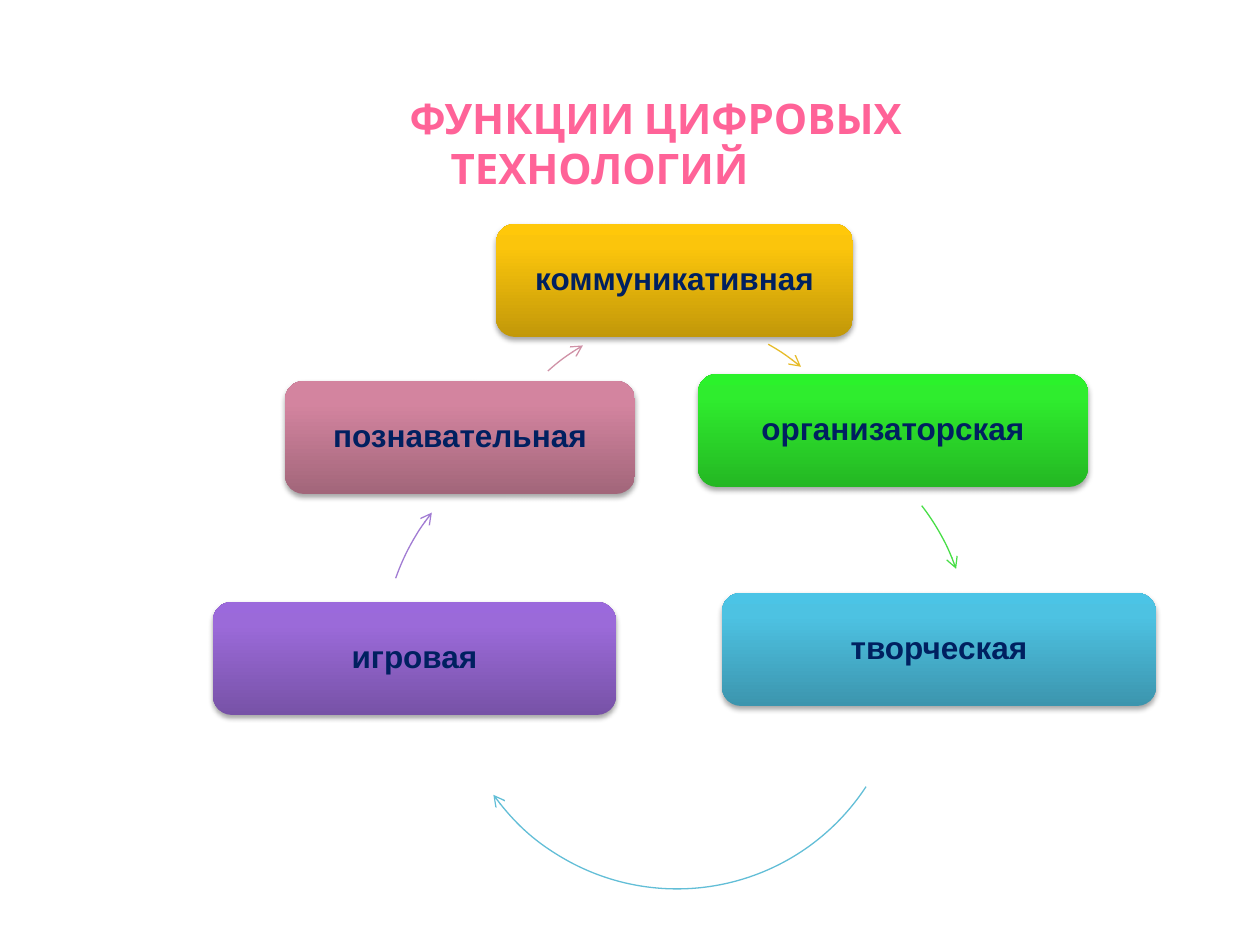
import copy

import pptx
import pptx.dml.color
import pptx.enum.shapes
import pptx.enum.text
import pptx.oxml
import pptx.oxml.ns
import pptx.util

SCALE = 914400 // 126
SLIDE_SIZE = (1260, 945)
TITLE = "ФУНКЦИИ ЦИФРОВЫХ ТЕХНОЛОГИЙ"
TITLE_AREA = (282, 86, 635, 115)
TITLE_INDENT = 112
BOX_HEIGHT = 113
BOX_INSET = 14
ARC_SIZE = 452
STOP_POSITIONS = (0, 0.8, 1)

COLORS = {
    "title": "FF6398",
    "text": "002060",
    "yellow": ("C29809", "FBC50C", "FFC80A", "E7BC29"),
    "green": ("24B723", "2FED2E", "2BF22B", "47DE46"),
    "blue": ("3C95AE", "4DC2E2", "4BC4E6", "62BED7"),
    "purple": ("7752A7", "9B6AD9", "9B69DC", "A17BD3"),
    "pink": ("A2667A", "D3849F", "D5849F", "D092A7"),
}

# label, color, box left/top/width, arc left/top, arc start/end degrees
FUNCTIONS = [
    ("коммуникативная", "yellow", (496, 224, 357), (431, 315), (299.5, 309.6)),
    ("организаторская", "green", (698, 374, 390), (517, 418), (322.3, 340.6)),
    ("творческая", "blue", (722, 593, 434), (451, 437), (33.2, 144.3)),
    ("игровая", "purple", (213, 602, 403), (383, 427), (199.3, 218.4)),
    ("познавательная", "pink", (285, 381, 350), (472, 314), (228.4, 239.4)),
]

SHADOW = (
    '<a:outerShdw %s blurRad="39370" dist="22860" dir="5400000" rotWithShape="0">'
    '<a:srgbClr val="000000"><a:alpha val="35000"/></a:srgbClr></a:outerShdw>'
    % pptx.oxml.ns.nsdecls("a")
)
ARROWHEAD = '<a:tailEnd %s type="arrow"/>' % pptx.oxml.ns.nsdecls("a")


def px(value):
    return pptx.util.Emu(value * SCALE)


def rgb(value):
    return pptx.dml.color.RGBColor.from_string(value)


def style_text(paragraph, size, font_name, color):
    paragraph.alignment = pptx.enum.text.PP_ALIGN.CENTER
    paragraph.font.size = pptx.util.Pt(size)
    paragraph.font.name = font_name
    paragraph.font.bold = True
    paragraph.font.color.rgb = rgb(color)


def add_title(slide):
    title = slide.shapes.title
    title.left, title.top, title.width, title.height = map(px, TITLE_AREA)
    frame = title.text_frame
    frame.text = TITLE
    frame.word_wrap = True
    frame.auto_size = pptx.enum.text.MSO_AUTO_SIZE.NONE
    frame.vertical_anchor = pptx.enum.text.MSO_ANCHOR.TOP
    paragraph = frame.paragraphs[0]
    style_text(paragraph, 24, "Cabin", COLORS["title"])
    properties = paragraph._p.get_or_add_pPr()
    properties.set("marL", "0")
    properties.set("indent", str(px(TITLE_INDENT)))


def add_box(slide, label, stop_colors, left, top, width):
    box = slide.shapes.add_shape(
        pptx.enum.shapes.MSO_SHAPE.ROUNDED_RECTANGLE,
        px(left), px(top), px(width), px(BOX_HEIGHT),
    )
    box.fill.gradient()
    box.fill.gradient_angle = 90
    stop_list = box._element.spPr.find(".//" + pptx.oxml.ns.qn("a:gsLst"))
    stop_list.insert(1, copy.deepcopy(stop_list[0]))
    for stop, position, color in zip(box.fill.gradient_stops, STOP_POSITIONS, stop_colors):
        stop.position = position
        stop.color.rgb = rgb(color)
    box.line.fill.background()
    box.shadow.inherit = False
    effects = box._element.spPr.find(pptx.oxml.ns.qn("a:effectLst"))
    effects.append(pptx.oxml.parse_xml(SHADOW))

    frame = box.text_frame
    frame.text = label
    frame.word_wrap = True
    frame.vertical_anchor = pptx.enum.text.MSO_ANCHOR.MIDDLE
    frame.margin_left = frame.margin_right = px(BOX_INSET)
    frame.margin_top = frame.margin_bottom = px(BOX_INSET)
    paragraph = frame.paragraphs[0]
    paragraph.line_spacing = 0.9
    style_text(paragraph, 18, "Arial", COLORS["text"])


def add_arc(slide, color, left, top, angles):
    arc = slide.shapes.add_shape(
        pptx.enum.shapes.MSO_SHAPE.ARC,
        px(left), px(top), px(ARC_SIZE), px(ARC_SIZE),
    )
    for index, angle in enumerate(angles):
        arc.adjustments[index] = angle * 0.6
    arc.fill.background()
    arc.line.color.rgb = rgb(color)
    arc.line.width = pptx.util.Pt(0.75)
    arc.shadow.inherit = False
    arc.line._get_or_add_ln().append(pptx.oxml.parse_xml(ARROWHEAD))


def main():
    presentation = pptx.Presentation()
    presentation.slide_width, presentation.slide_height = map(px, SLIDE_SIZE)
    slide = presentation.slides.add_slide(presentation.slide_layouts[5])
    for label, color_name, box_area, arc_place, angles in FUNCTIONS:
        *stop_colors, line_color = COLORS[color_name]
        add_box(slide, label, stop_colors, *box_area)
        add_arc(slide, line_color, *arc_place, angles)
    add_title(slide)
    presentation.save("out.pptx")


if __name__ == "__main__":
    main()
